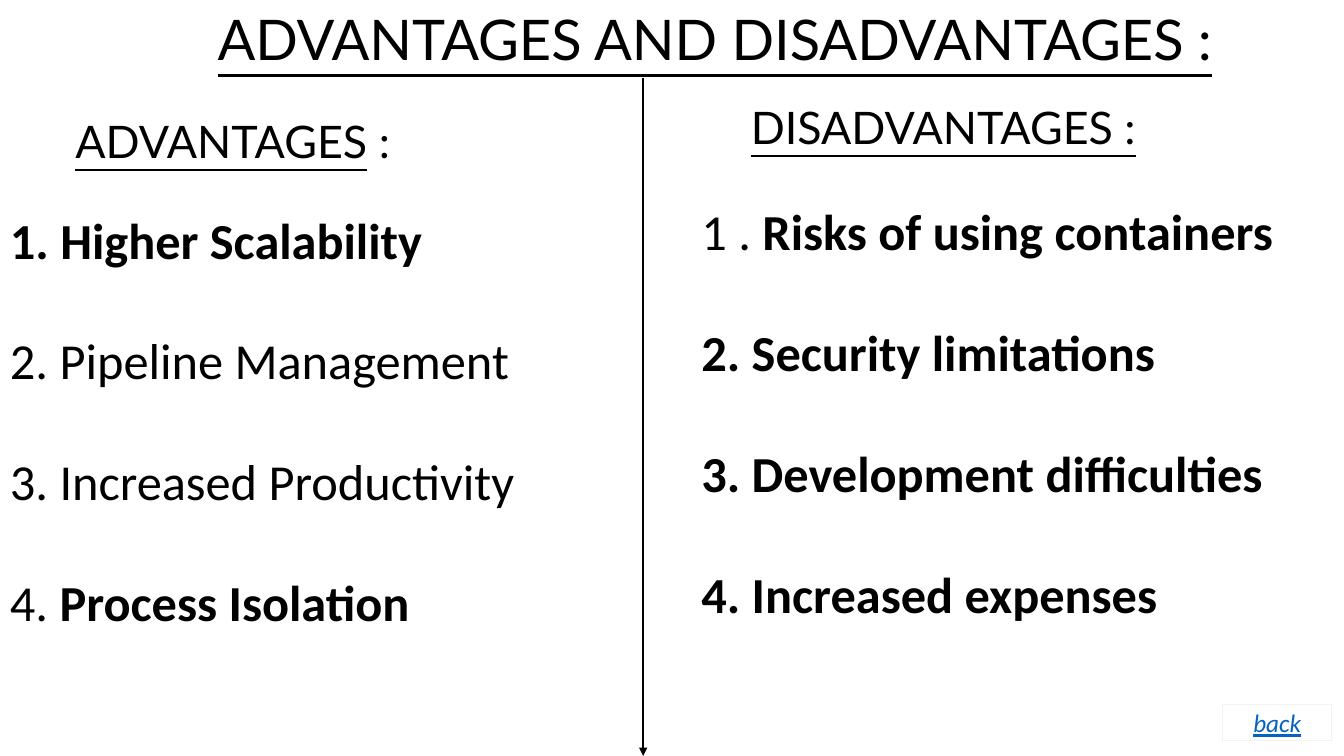
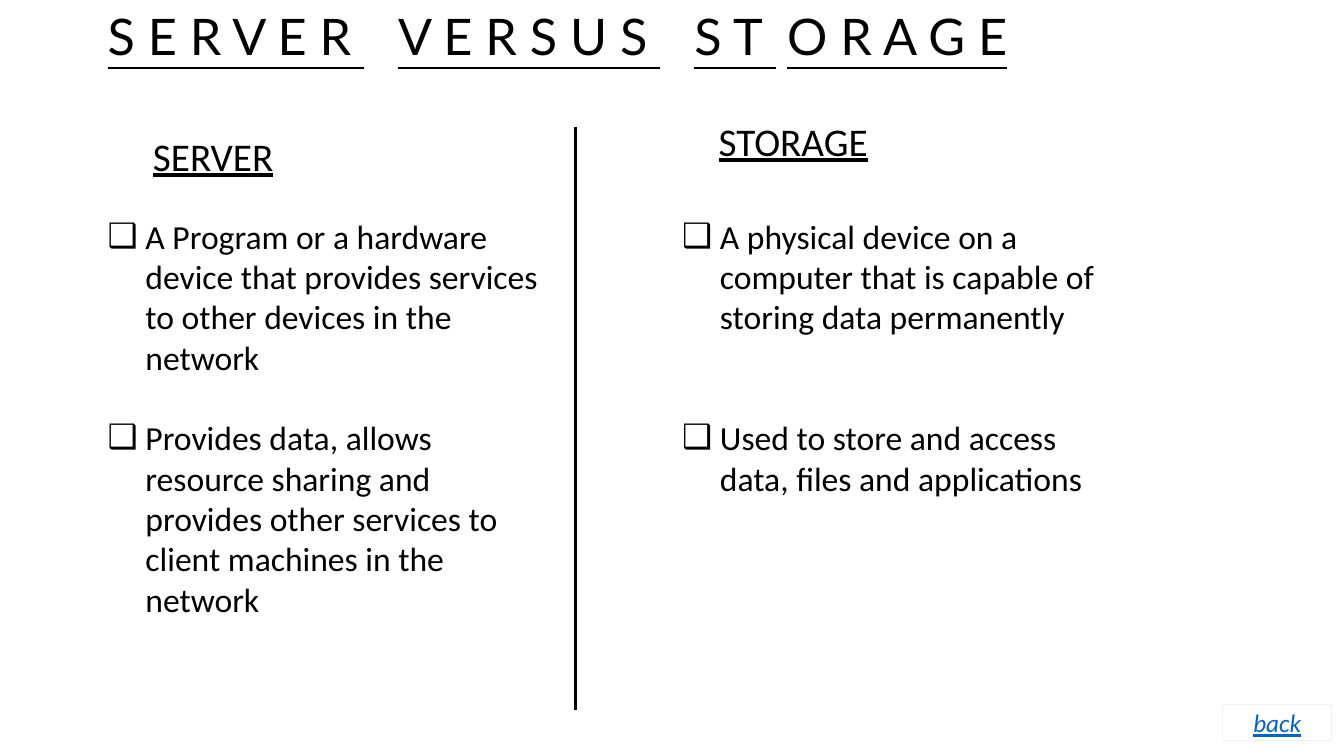
from dataclasses import dataclass

from lxml.etree import SubElement
from pptx import Presentation
from pptx.dml.color import RGBColor
from pptx.enum.shapes import MSO_CONNECTOR, MSO_SHAPE
from pptx.enum.text import MSO_ANCHOR, PP_ALIGN
from pptx.oxml.ns import qn
from pptx.util import Pt


@dataclass(frozen=True)
class Theme:
    ink: RGBColor = RGBColor(0x00, 0x00, 0x00)
    paper: RGBColor = RGBColor(0xFF, 0xFF, 0xFF)
    button_edge: RGBColor = RGBColor(0xF2, 0xF2, 0xF2)
    link: RGBColor = RGBColor(0x05, 0x63, 0xC1)
    display: str = "Lato"
    body: str = "Calibri"
    title: int = 40
    spaced_title: int = 36
    heading: int = 32
    small_heading: int = 28
    numbered: int = 36
    bulleted: int = 24
    button: int = 18


THEME = Theme()
LINE_PITCH = 1.2
BULLET_INDENT = 27
SPACE_WIDTH = 8.1
BACK_BOX = (873.4, 503.3, 77.8, 25.9)


def text_style(size, name=THEME.body, **extra):
    return {"size": Pt(size), "name": name, **extra}


def add_runs(paragraph, runs, style, color=THEME.ink):
    for text, changes in runs:
        run = paragraph.add_run()
        run.text = text
        for name, value in {**style, **changes}.items():
            if name == "spacing":
                run.font._element.set("spc", str(round(value * 100)))
            else:
                setattr(run.font, name, value)
        run.font.color.rgb = color


def add_text(slide, box, paragraphs, style, gaps=(), bullet=None):
    frame = slide.shapes.add_textbox(*map(Pt, box)).text_frame
    frame.word_wrap = True
    for index, runs in enumerate(paragraphs):
        paragraph = frame.add_paragraph() if index else frame.paragraphs[0]
        if bullet:
            properties = paragraph._p.get_or_add_pPr()
            properties.set("marL", str(Pt(BULLET_INDENT)))
            properties.set("indent", str(Pt(-BULLET_INDENT)))
            SubElement(properties, qn("a:buFont"), typeface="Arial")
            SubElement(properties, qn("a:buChar"), char=bullet)
        if index:
            paragraph.space_before = gaps[index - 1]
        add_runs(paragraph, runs, style)


def add_title(slide, box, runs, size):
    add_text(slide, box, [runs], text_style(size, THEME.display, underline=True))


def add_column(slide, box, heading, heading_style, items, item_size,
               heading_indent, list_drop, empty_lines=1, bullet=None):
    left, top, width, height = box
    add_text(slide, (left + heading_indent, top, width - heading_indent, 46),
             [heading], heading_style)
    gaps = [Pt(item_size * LINE_PITCH * empty_lines)] * (len(items) - 1)
    add_text(slide, (left, top + list_drop, width, height - list_drop),
             items, text_style(item_size), gaps, bullet)


def add_divider(slide, x, top, bottom, width, arrow=False):
    connector = slide.shapes.add_connector(
        MSO_CONNECTOR.STRAIGHT, Pt(x), Pt(top), Pt(x), Pt(bottom))
    connector.line.color.rgb = THEME.ink
    connector.line.width = Pt(width)
    if arrow:
        SubElement(connector.line._get_or_add_ln(), qn("a:tailEnd"), type="triangle")
    SubElement(connector._element.spPr, qn("a:effectLst"))


def add_back_button(slide, box):
    shape = slide.shapes.add_shape(MSO_SHAPE.RECTANGLE, *map(Pt, box))
    shape.shadow.inherit = False
    shape.fill.solid()
    shape.fill.fore_color.rgb = THEME.paper
    shape.line.color.rgb = THEME.button_edge
    shape.line.width = Pt(1)
    shape.text_frame.vertical_anchor = MSO_ANCHOR.MIDDLE
    paragraph = shape.text_frame.paragraphs[0]
    paragraph.alignment = PP_ALIGN.CENTER
    style = text_style(THEME.button, italic=True, underline=True)
    add_runs(paragraph, [("back", {})], style, THEME.link)


def build_advantages(slide):
    bold = {"bold": True}
    heading_style = text_style(THEME.heading, THEME.display, underline=True)
    add_title(slide, (148.3, 0, 763.2, 55.4),
              [("ADVANTAGES AND DISADVANTAGES :", {})], THEME.title)
    add_column(slide, (0, 77.8, 459, 440),
               [("ADVANTAGES", {}), (" :", {"underline": False})], heading_style,
               [[("1. Higher Scalability", bold)],
                [("2. Pipeline Management", {})],
                [("3. Increased Productivity", {})],
                [("4. ", {}), ("Process Isolation", bold)]],
               THEME.numbered, heading_indent=46.8, list_drop=67.7)
    add_divider(slide, 459.4, 55.4, 540, 1.5, arrow=True)
    add_column(slide, (493.9, 67.7, 445.7, 440),
               [("DISADVANTAGES :", {})], heading_style,
               [[("1 . ", {}), ("Risks of using containers", bold)],
                [("2. Security limitations", bold)],
                [("3. Development difficulties", bold)],
                [("4. Increased expenses", bold)]],
               THEME.numbered, heading_indent=35.3, list_drop=72)


def build_server_versus_storage(slide):
    word_gap = (" ", {"spacing": 3 * SPACE_WIDTH})
    heading_style = text_style(THEME.small_heading, underline=True)
    add_title(slide, (69.8, 0, 890, 51),
              [("S E R V E R", {}), word_gap, ("V E R S U S", {}), word_gap,
               ("S T", {}), (" ", {"spacing": SPACE_WIDTH}), ("O R A G E", {})],
              THEME.spaced_title)
    add_column(slide, (69.8, 90.7, 322.6, 416.2), [("SERVER", {})], heading_style,
               [[("A Program or a hardware device that provides services "
                  "to other devices in the network", {})],
                [("Provides data, allows resource sharing and provides other "
                  "services to client machines in the network", {})]],
               THEME.bulleted, heading_indent=32.4, list_drop=59.8, bullet="❑")
    add_column(slide, (480.2, 79.9, 333.4, 340), [("STORAGE", {})], heading_style,
               [[("A physical device on a computer that is capable of "
                  "storing data permanently", {})],
                [("Used to store and access data, files and applications", {})]],
               THEME.bulleted, heading_indent=26, list_drop=70.6,
               empty_lines=2, bullet="❑")
    add_divider(slide, 411.1, 90.7, 506.9, 2.25)


def main():
    presentation = Presentation()
    presentation.slide_width, presentation.slide_height = Pt(960), Pt(540)
    for build in (build_advantages, build_server_versus_storage):
        slide = presentation.slides.add_slide(presentation.slide_layouts[6])
        build(slide)
        add_back_button(slide, BACK_BOX)
    presentation.save("out.pptx")


if __name__ == "__main__":
    main()
